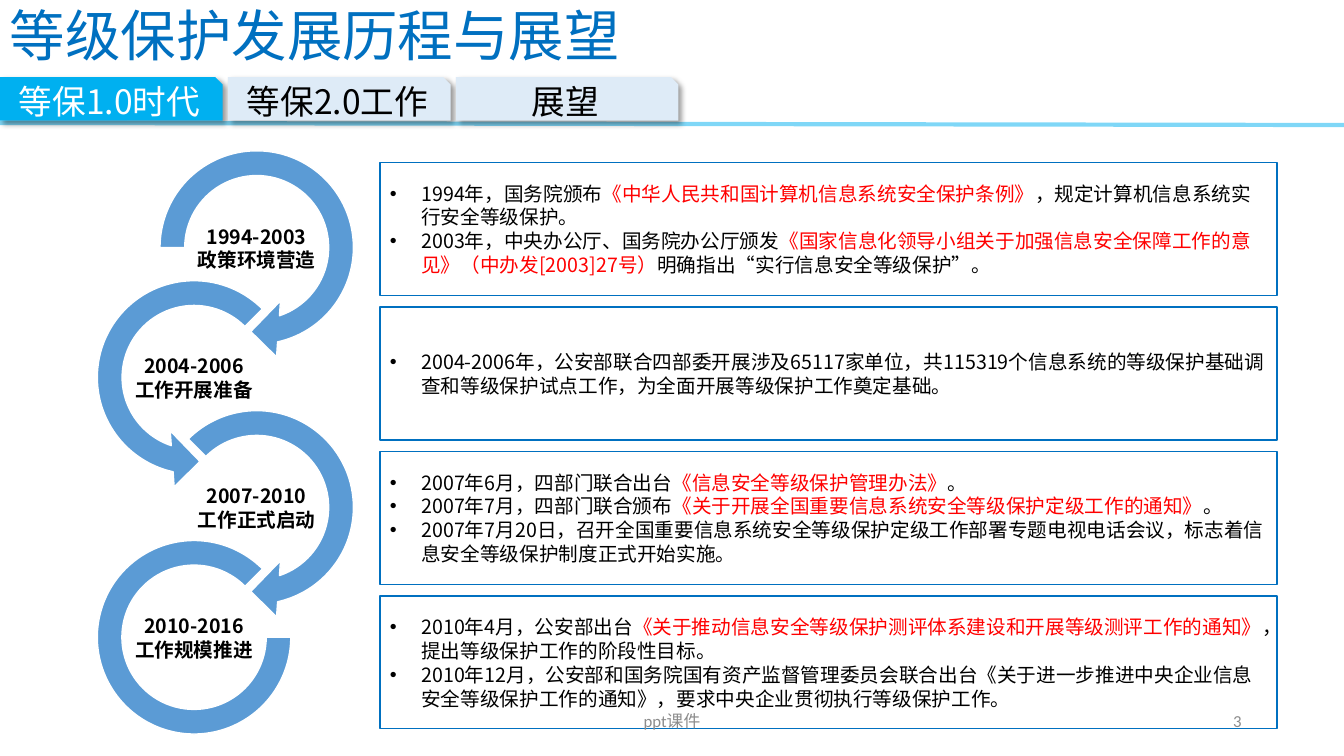
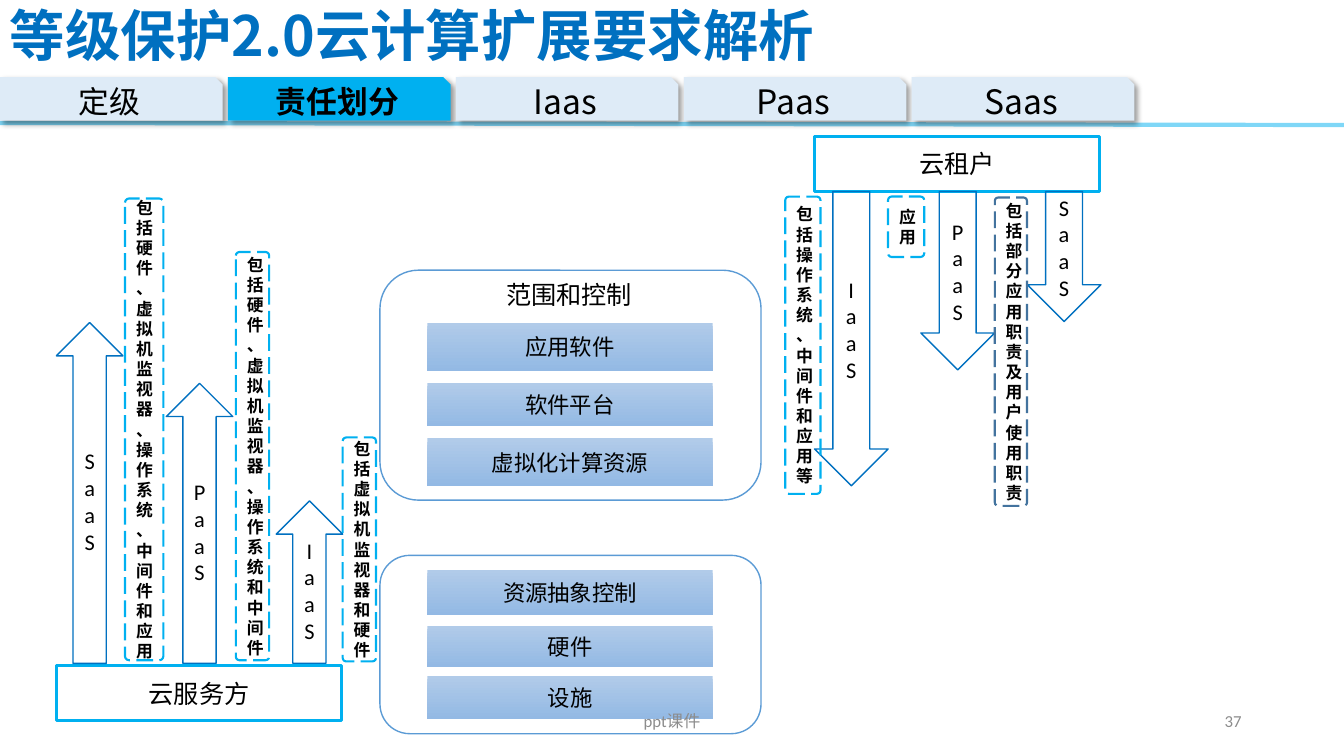
"""Build two slides on the history and cloud requirements of graded protection."""
import lxml.etree
import pptx
import pptx.dml.color
import pptx.enum.dml
import pptx.enum.shapes
import pptx.enum.text
import pptx.oxml.ns
import pptx.util

Pt = pptx.util.Pt
SHAPE = pptx.enum.shapes.MSO_SHAPE
ALIGN = pptx.enum.text.PP_ALIGN
qn = pptx.oxml.ns.qn
rgb = pptx.dml.color.RGBColor.from_string

SANS, LATIN = "Noto Sans CJK SC", "Calibri"
BLACK, WHITE, RED, GREY = "000000", "FFFFFF", "FF0000", "8C8C8C"
BLUE, CYAN, PALE, ARC = "0070C0", "00B0F0", "DEEBF7", "5B9BD5"
NAVY, BAR_TOP, BAR_BOTTOM = "43739E", "B1CBE9", "93B9E4"


def add_box(slide, kind, box, fill=None, line=None, width=1):
    """Add a preset shape, or a text box when kind is None."""
    lengths = [Pt(value) for value in box]
    if kind is None:
        return slide.shapes.add_textbox(*lengths)
    shape = slide.shapes.add_shape(kind, *lengths)
    shape.shadow.inherit = False
    if fill:
        shape.fill.solid()
        shape.fill.fore_color.rgb = rgb(fill)
    else:
        shape.fill.background()
    if line:
        shape.line.color.rgb = rgb(line)
        shape.line.width = Pt(width)
    else:
        shape.line.fill.background()
    return shape


def write(shape, texts, size, color=BLACK, bold=False, align=ALIGN.CENTER,
          font=SANS, spacing=None, bullet=False):
    """Fill a shape with paragraphs; parts between bars are red."""
    frame = shape.text_frame
    frame.word_wrap = True
    frame.vertical_anchor = pptx.enum.text.MSO_ANCHOR.MIDDLE
    for index, text in enumerate(texts):
        paragraph = frame.add_paragraph() if index else frame.paragraphs[0]
        paragraph.alignment = align
        if spacing:
            paragraph.line_spacing = spacing
        properties = paragraph._p.get_or_add_pPr()
        if bullet:
            properties.set("marL", str(Pt(22.5)))
            properties.set("indent", str(-Pt(22.5)))
            lxml.etree.SubElement(properties, qn("a:buFont")).set("typeface", "Arial")
            lxml.etree.SubElement(properties, qn("a:buChar")).set("char", "•")
        paragraph.font.name = font
        paragraph.font.size = Pt(size)
        paragraph.font.bold = bold
        paragraph.font.color.rgb = rgb(color)
        east_asian = lxml.etree.SubElement(properties.find(qn("a:defRPr")), qn("a:ea"))
        east_asian.set("typeface", SANS)
        for part, run_text in enumerate(text.split("|")):
            run = paragraph.add_run()
            run.text = run_text
            if part % 2:
                run.font.color.rgb = rgb(RED)


presentation = pptx.Presentation()
presentation.slide_width, presentation.slide_height = Pt(960), Pt(540)

HEADERS = [
    ("等级保护发展历程与展望", False, 0, WHITE,
     [("等保1.0时代", 24), ("等保2.0工作", 24), ("展望", 24)]),
    ("等级保护2.0云计算扩展要求解析", True, 1, BLACK,
     [("定级", 22), ("责任划分", 22), ("Iaas", 24), ("Paas", 24), ("Saas", 24)]),
]
slides = []
for title, bold, active, active_color, tabs in HEADERS:
    slide = presentation.slides.add_slide(presentation.slide_layouts[6])
    slides.append(slide)
    rule = slide.shapes.add_connector(
        pptx.enum.shapes.MSO_CONNECTOR.STRAIGHT, Pt(0), Pt(87.8), Pt(960), Pt(89.3))
    rule.line.color.rgb = rgb(CYAN)
    rule.line.width = Pt(3)
    rule_properties = rule._element.spPr
    rule_color = rule_properties.find(".//" + qn("a:srgbClr"))
    lxml.etree.SubElement(rule_color, qn("a:alpha")).set("val", "50000")
    lxml.etree.SubElement(rule_properties, qn("a:effectLst"))
    write(add_box(slide, None, (0, 0.7, 620, 54)), [title], 39.6, BLUE, bold,
          ALIGN.LEFT, spacing=0.9)
    for index, (text, size) in enumerate(tabs):
        chosen = index == active
        tab = add_box(slide, SHAPE.SNIP_1_RECTANGLE, (162.8 * index, 55.2, 159, 31),
                      CYAN if chosen else PALE)
        shadow = lxml.etree.SubElement(
            tab._element.spPr.find(qn("a:effectLst")), qn("a:outerShdw"),
            blurRad=str(Pt(4)), dist=str(Pt(3)), dir="2700000", algn="tl", rotWithShape="0")
        shadow_color = lxml.etree.SubElement(shadow, qn("a:srgbClr"), val=BLACK)
        lxml.etree.SubElement(shadow_color, qn("a:alpha"), val="40000")
        write(tab, [text], size, active_color if chosen else BLACK, bold and chosen)

history, cloud = slides

STAGES = [
    ("1994-2003", "政策环境营造", SHAPE.CIRCULAR_ARROW, (0.11, 11.423, 45, 108, 0.125), [
        "1994年，国务院颁布|《中华人民共和国计算机信息系统安全保护条例》|，规定计算机信息系统实行安全等级保护。",
        "2003年，中央办公厅、国务院办公厅颁发|《国家信息化领导小组关于加强信息安全保障工作的意见》（中办发[2003]27号）|明确指出“实行信息安全等级保护”。"]),
    ("2004-2006", "工作开展准备", SHAPE.LEFT_CIRCULAR_ARROW, (0.11, 11.423, 63, 189, 0.125), [
        "2004-2006年，公安部联合四部委开展涉及65117家单位，共115319个信息系统的等级保护基础调查和等级保护试点工作，为全面开展等级保护工作奠定基础。"]),
    ("2007-2010", "工作正式启动", SHAPE.CIRCULAR_ARROW, (0.11, 11.423, 45, 135, 0.125), [
        "2007年6月，四部门联合出台|《信息安全等级保护管理办法》|。",
        "2007年7月，四部门联合颁布|《关于开展全国重要信息系统安全等级保护定级工作的通知》|。",
        "2007年7月20日，召开全国重要信息系统安全等级保护定级工作部署专题电视电话会议，标志着信息安全等级保护制度正式开始实施。"]),
    ("2010-2016", "工作规模推进", SHAPE.BLOCK_ARC, (0, 189, 0.127), [
        "2010年4月，公安部出台|《关于推动信息安全等级保护测评体系建设和开展等级测评工作的通知》|，提出等级保护工作的阶段性目标。",
        "2010年12月，公安部和国务院国有资产监督管理委员会联合出台《关于进一步推进中央企业信息安全等级保护工作的通知》，要求中央企业贯彻执行等级保护工作。"]),
]
for index, (years, label, kind, adjustments, events) in enumerate(STAGES):
    center_x = 138.6 if index % 2 else 183.4
    center_y = 176.8 + 92.8 * index
    diameter = 138.2 if kind == SHAPE.BLOCK_ARC else 160.6
    arc = add_box(history, kind, (center_x - diameter / 2, center_y - diameter / 2,
                                  diameter, diameter), ARC, WHITE)
    for position, value in enumerate(adjustments):
        arc.adjustments[position] = value
    caption = add_box(history, None, (center_x - 45, center_y - 22, 90, 44.6))
    frame = caption.text_frame
    frame.margin_left = frame.margin_right = frame.margin_top = frame.margin_bottom = Pt(0.7)
    write(caption, [years, label], 14, bold=True, spacing=Pt(17))
    panel = add_box(history, SHAPE.RECTANGLE, (271.4, 116 + 103.2 * index, 640.8, 95),
                    WHITE, BLUE)
    write(panel, events, 14, align=ALIGN.LEFT, spacing=Pt(17), bullet=True)

for top, height in [(193, 164.2), (396.7, 127.4)]:
    add_box(cloud, SHAPE.FLOWCHART_ALTERNATE_PROCESS, (271.4, top, 272.2, height), WHITE, ARC)
write(add_box(cloud, None, (341.5, 196, 130, 29)), ["范围和控制"], 18)

LAYERS = [
    ("应用软件", 230.4, 34.6), ("软件平台", 273.6, 31), ("虚拟化计算资源", 313.2, 33.8),
    ("资源抽象控制", 406.8, 32.4), ("硬件", 447.1, 29.5), ("设施", 483.1, 30.2),
]
for text, top, height in LAYERS:
    layer = add_box(cloud, SHAPE.RECTANGLE, (305.3, top, 203.8, height))
    layer.fill.gradient()
    layer.fill.gradient_angle = 270
    for stop, color in zip(layer.fill.gradient_stops, (BAR_TOP, BAR_BOTTOM)):
        stop.color.rgb = rgb(color)
    write(layer, [text], 16)

for text, left, top in [("云服务方", 40.3, 475.2), ("云租户", 581.8, 97.2)]:
    party = add_box(cloud, SHAPE.RECTANGLE, (left, top, 203.8, 39.6), None, CYAN, 2.25)
    write(party, [text], 18)

PROVIDER_ARROWS = [("SaaS", 243.4), ("PaaS", 200), ("IaaS", 116)]
TENANT_ARROWS = [("IaaS", 210.2), ("PaaS", 127.4), ("SaaS", 92.9)]
arrows = [(name, SHAPE.UP_ARROW, (40.3 + 78.5 * index, 473.8 - height, 47.5, height))
          for index, (name, height) in enumerate(PROVIDER_ARROWS)]
arrows += [(name, SHAPE.DOWN_ARROW, (581.8 + 76 * index, 136.8, 52.6, height))
           for index, (name, height) in enumerate(TENANT_ARROWS)]
for name, kind, box in arrows:
    write(add_box(cloud, kind, box, None, BLUE), list(name), 16, font=LATIN)

DUTIES = [
    ("包括虚拟机监视器和硬件", (244.8, 312.5, 23.8, 160), CYAN),
    ("包括硬件、虚拟机监视器、操作系统和中间件", (168.5, 180, 23.8, 291.6), CYAN),
    ("包括硬件、虚拟机监视器、操作系统、中间件和应用", (89.3, 141.8, 27.4, 329.8), CYAN),
    ("包括操作系统、中间件和应用等", (560.9, 140.4, 25.2, 212.4), CYAN),
    ("应用", (634.3, 140.4, 25.9, 43.2), CYAN),
    ("包括部分应用职责及用户使用职责", (710.6, 141.1, 23, 220.3), NAVY),
]
for text, box, color in DUTIES:
    duty = add_box(cloud, SHAPE.ROUNDED_RECTANGLE, box, None, color, 1.5)
    duty.adjustments[0] = 0.106
    duty.line.dash_style = pptx.enum.dml.MSO_LINE.LONG_DASH
    write(duty, [text], 12, bold=True, align=ALIGN.JUSTIFY, spacing=Pt(14.4))

for slide, number in zip(slides, ("3", "37")):
    write(add_box(slide, None, (678, 500.5, 216, 28.8)), [number], 12, GREY,
          align=ALIGN.RIGHT, font=LATIN)
    write(add_box(slide, None, (318, 500.5, 324, 28.8)), ["ppt课件"], 12, GREY, font=LATIN)

presentation.save("out.pptx")
